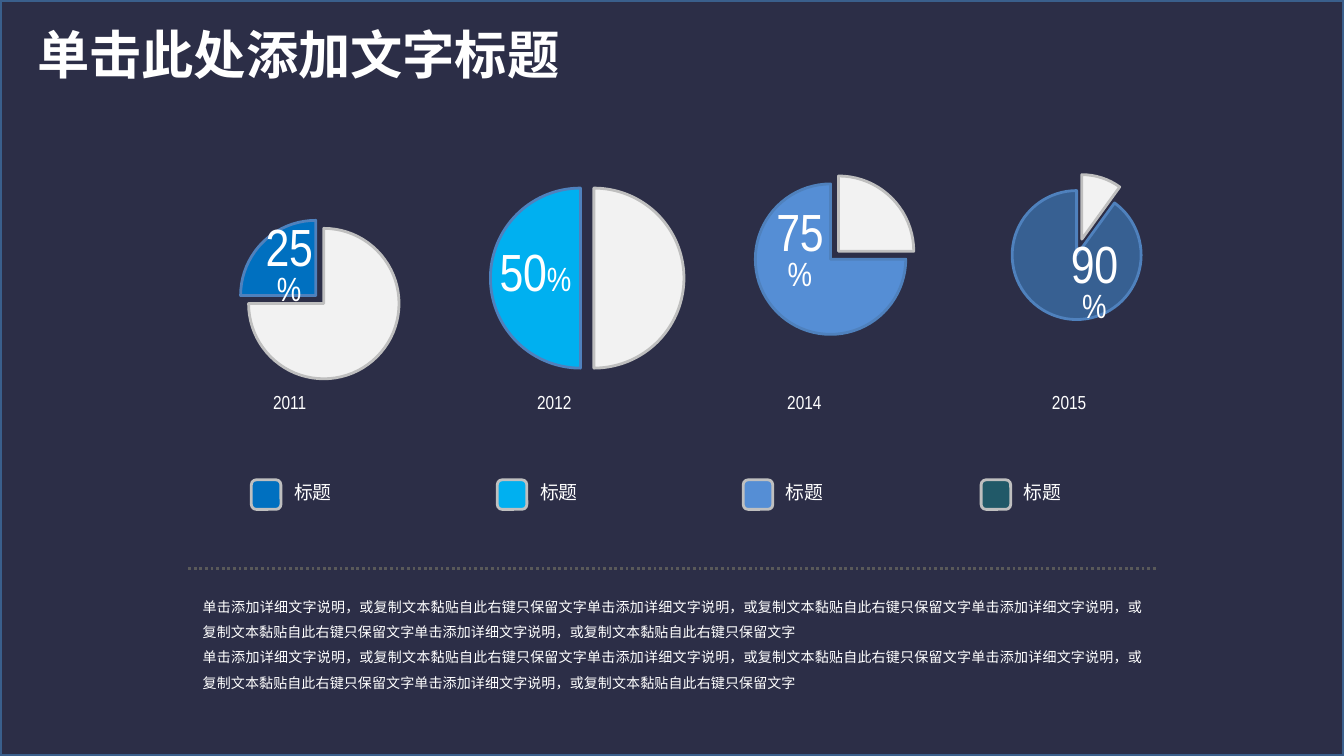
import pptx
import pptx.chart.data
import pptx.dml.color
import pptx.enum.chart
import pptx.enum.dml
import pptx.enum.shapes
import pptx.enum.text
import pptx.oxml
import pptx.oxml.ns
import pptx.util
from dataclasses import dataclass

Inches = pptx.util.Inches
Pt = pptx.util.Pt
ALIGN = pptx.enum.text.PP_ALIGN
SHAPE = pptx.enum.shapes.MSO_SHAPE


@dataclass(frozen=True)
class Theme:
    back: str = "2C2E47"
    frame: str = "3A5F8C"
    white: str = "FFFFFF"
    rest: str = "F2F2F2"
    edge: str = "BFBFBF"
    rim: str = "4F81BD"
    dots: str = "595959"
    cjk: str = "Noto Sans CJK SC"
    narrow: str = "Arial Narrow"
    sans: str = "Arial"
    plain: str = "Calibri"
    title: float = 28
    number: float = 28
    sign: float = 18
    label: float = 10.1
    body: float = 7.5


T = Theme()
WIDE = 10
HIGH = WIDE * 9 / 16
CHART_W, CHART_H = 2.96, 1.83
CHART_TOP = 1.15

# chart left, share, colour, pie centre, radius, explosion %, label shift
PIES = [
    (0.65, 25, "0070C0", (2.41, 2.26), 0.56, 15, (0, 0)),
    (2.57, 50, "00B0F0", (4.42, 2.07), 0.67, 15, (0, 0)),
    (4.48, 75, "558ED5", (6.24, 1.87), 0.56, 15, (-0.01, -0.13)),
    (6.39, 90, "376092", (8.05, 1.78), 0.48, 26, (0.07, 0)),
]
YEARS = [(1.64, "2011"), (3.61, "2012"), (5.47, "2014"), (7.44, "2015")]
KEYS = [(1.87, "0070C0"), (3.7, "00B0F0"), (5.53, "558ED5"), (7.3, "215968")]
NOTE = "单击添加详细文字说明，或复制文本黏贴自此右键只保留文字" * 4


def rgb(code):
    return pptx.dml.color.RGBColor.from_string(code)


def put(item, **values):
    for name, value in values.items():
        setattr(item, name, value)


def make(tag, inner="", extra=""):
    """Build one XML element such as a:ea."""
    space = pptx.oxml.ns.nsdecls(tag.split(":")[0])
    return pptx.oxml.parse_xml(f"<{tag} {space} {extra}>{inner}</{tag}>")


def paint(item, fill, line, width):
    item.fill.solid()
    item.fill.fore_color.rgb = rgb(fill)
    item.line.color.rgb = rgb(line)
    item.line.width = Pt(width)


def write(para, text, face, size, bold=False):
    run = para.add_run()
    run.text = text
    put(run.font, name=face, size=Pt(size), bold=bold)
    run.font.color.rgb = rgb(T.white)
    run.font._element.append(make("a:ea", extra=f'typeface="{T.cjk}"'))


def add_text(shapes, box, lines, face, size, bold=False, wrap=True, **style):
    frame = shapes.add_textbox(*map(Inches, box)).text_frame
    frame.word_wrap = wrap
    for i, line in enumerate(lines):
        para = frame.add_paragraph() if i else frame.paragraphs[0]
        put(para, **style)
        write(para, line, face, size, bold)


def add_block(shapes, kind, box, fill, line, width):
    block = shapes.add_shape(kind, *map(Inches, box))
    block.shadow.inherit = False
    paint(block, fill, line, width)


def set_layout(node, index, target="", **places):
    """Place a chart part by fractions of the chart."""
    for old in node.findall(pptx.oxml.ns.qn("c:layout")):
        node.remove(old)
    inner = ""
    if target:
        inner = (f'<c:layoutTarget val="{target}"/>'
                 '<c:xMode val="edge"/><c:yMode val="edge"/>')
    inner += "".join(f'<c:{k} val="{v:.4f}"/>' for k, v in places.items())
    inner = f"<c:manualLayout>{inner}</c:manualLayout>"
    node.insert(index, make("c:layout", inner))


def add_label(point, share, shift):
    label = point.data_label
    para = label.text_frame.paragraphs[0]
    write(para, str(share), T.narrow, T.number)
    write(para, "%", T.narrow, T.sign)
    label.position = pptx.enum.chart.XL_LABEL_POSITION.CENTER
    if any(shift):
        set_layout(label._dLbl, 1, x=shift[0], y=shift[1])


def add_pie(shapes, left, share, colour, centre, radius, burst, shift):
    data = pptx.chart.data.CategoryChartData()
    data.categories = ["1", "2"]
    data.add_series("Series 1", (100 - share, share))
    box = (left, CHART_TOP, CHART_W, CHART_H)
    chart = shapes.add_chart(
        pptx.enum.chart.XL_CHART_TYPE.PIE, *map(Inches, box), data).chart
    put(chart, has_legend=False, has_title=False)
    put(chart.font, name=T.plain, size=Pt(10))
    plot = chart.plots[0]
    plot.vary_by_categories = True
    row = plot.series[0]
    paint(row.points[0].format, T.rest, T.edge, 1.5)
    paint(row.points[1].format, colour, T.rim, 1.5)
    slices = row._element.findall(pptx.oxml.ns.qn("c:dPt"))
    slices[1].insert(1, make("c:explosion", extra=f'val="{burst}"'))
    add_label(row.points[1], share, shift)
    set_layout(chart._chartSpace.chart.plotArea, 0, "inner",
               x=(centre[0] - radius - left) / CHART_W,
               y=(centre[1] - radius - CHART_TOP) / CHART_H,
               w=2 * radius / CHART_W, h=2 * radius / CHART_H)


def add_key(shapes, left, colour):
    group = shapes.add_group_shape().shapes
    add_block(group, SHAPE.ROUNDED_RECTANGLE, (left, 3.57, 0.22, 0.22),
              colour, T.edge, 1.5)
    add_text(group, (left + 0.22, 3.53, 1.14, 0.27), ["标题"],
             T.sans, T.label)


def add_rule(shapes):
    ends = map(Inches, (1.4, 4.23, 8.6, 4.23))
    rule = shapes.add_connector(
        pptx.enum.shapes.MSO_CONNECTOR.STRAIGHT, *ends)
    rule.line.color.rgb = rgb(T.dots)
    put(rule.line, width=Pt(1.5),
        dash_style=pptx.enum.dml.MSO_LINE.ROUND_DOT)
    rule._element.spPr.append(make("a:effectLst"))


def main():
    deck = pptx.Presentation()
    put(deck, slide_width=Inches(WIDE), slide_height=Inches(HIGH))
    slide = deck.slides.add_slide(deck.slide_layouts[6])
    slide.background.fill.solid()
    slide.background.fill.fore_color.rgb = rgb(T.back)
    shapes = slide.shapes
    add_block(shapes, SHAPE.RECTANGLE, (0, 0, WIDE, HIGH),
              T.back, T.frame, 2)
    add_text(shapes, (0.18, 0.12, 4.13, 0.57), ["单击此处添加文字标题"],
             T.cjk, T.title, bold=True, wrap=False)
    for pie in PIES:
        add_pie(shapes, *pie)
    for left, year in YEARS:
        add_text(shapes, (left, 2.86, 1.03, 0.27), [year],
                 T.narrow, T.label, alignment=ALIGN.CENTER)
    for key in KEYS:
        add_key(shapes, *key)
    add_rule(shapes)
    add_text(shapes, (1.41, 4.34, 7.18, 0.86), [NOTE, NOTE], T.cjk, T.body,
             alignment=ALIGN.JUSTIFY, line_spacing=1.5)
    deck.save("out.pptx")


if __name__ == "__main__":
    main()
